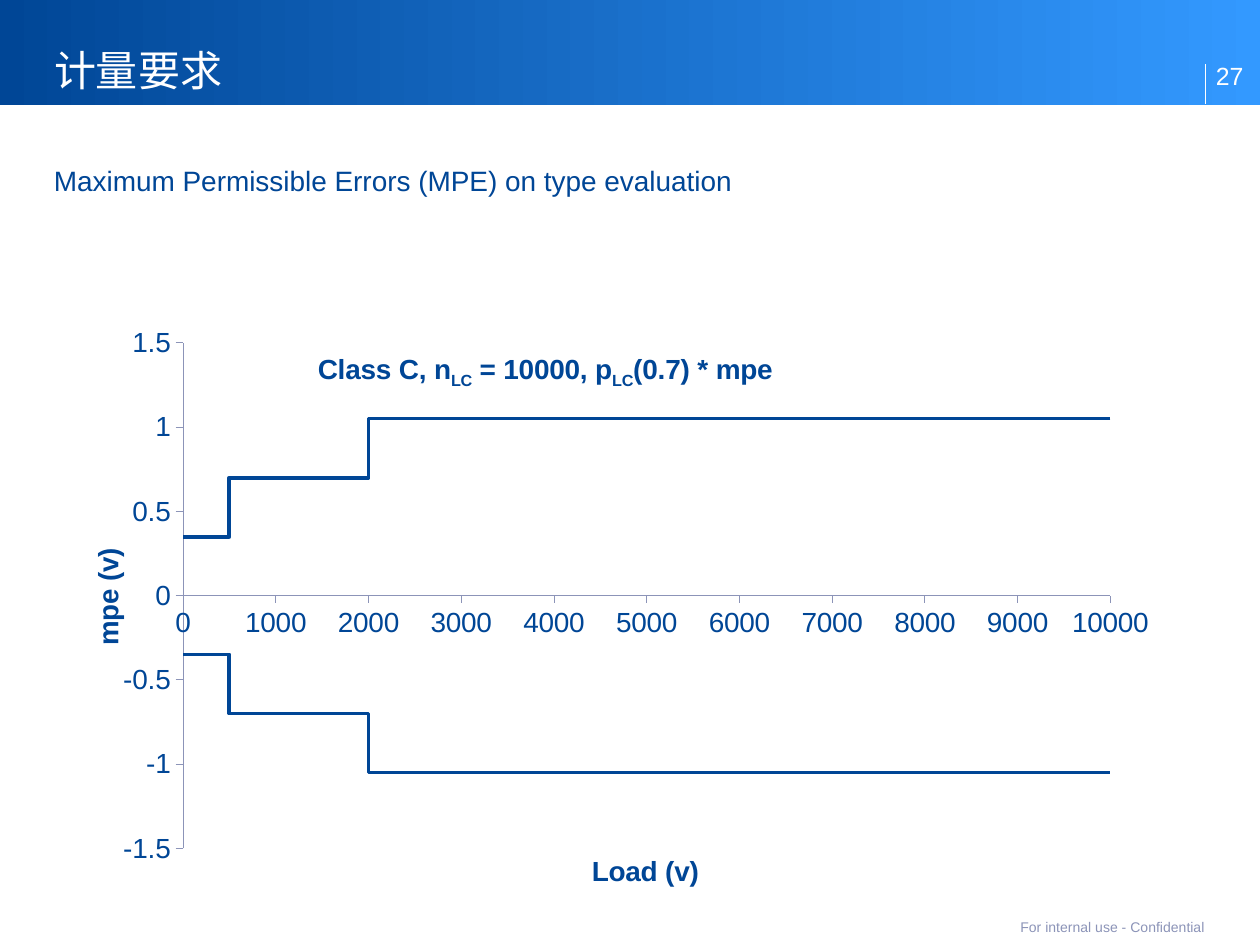
import pptx
import pptx.chart.data
import pptx.dml.color
import pptx.enum.chart
import pptx.enum.shapes
import pptx.enum.text
import pptx.oxml
import pptx.oxml.ns
import pptx.util

RGB = pptx.dml.color.RGBColor
NAVY = RGB(0x00, 0x46, 0x96)
SKY = RGB(0x33, 0x99, 0xFF)
WHITE = RGB(0xFF, 0xFF, 0xFF)
AXIS_GREY = RGB(0x8C, 0x94, 0xB8)
LATIN, CHINESE = "Arial", "Noto Sans CJK SC"
ALIGN = pptx.enum.text.PP_ALIGN
ANCHOR = pptx.enum.text.MSO_ANCHOR
qn = pptx.oxml.ns.qn

HEADING = "计量要求"
SUBHEADING = "Maximum Permissible Errors (MPE) on type evaluation"
PAGE = "27"
FOOTER = "For internal use - Confidential"
# (text, is subscript)
CHART_TITLE = [("Class C, n", False), ("LC", True), (" = 10000, p", False),
               ("LC", True), ("(0.7) * mpe", False)]
LOAD_TITLE = [("Load (v)", False)]
MPE_TITLE = [("mpe (v)", False)]
UPPER_LIMIT = [(10000, 1.05), (2000, 1.05), (2000, 0.7), (500, 0.7), (500, 0.35), (0, 0.35)]
LOWER_LIMIT = [(load, -mpe) for load, mpe in reversed(UPPER_LIMIT)]
GAP = [(0, None)]

EMU_PER_PX = 914400 // 126


def px(*lengths):
    return [length * EMU_PER_PX for length in lengths]


def fill_text(frame, text, size, color, font=LATIN, align=ALIGN.LEFT,
              anchor=ANCHOR.TOP, insets=(0, 0, 0, 0)):
    frame.word_wrap = True
    frame.auto_size = pptx.enum.text.MSO_AUTO_SIZE.NONE
    frame.vertical_anchor = anchor
    (frame.margin_left, frame.margin_top,
     frame.margin_right, frame.margin_bottom) = px(*insets)
    paragraph = frame.paragraphs[0]
    paragraph.alignment = align
    run = paragraph.add_run()
    run.text = text
    run.font.size = pptx.util.Pt(size)
    run.font.name = font
    run.font.color.rgb = color
    return run


def place(element, index, **fractions):
    """Give a chart part a manual layout, in fractions of the chart area."""
    for old in element.findall(qn("c:layout")):
        element.remove(old)
    target = '<c:layoutTarget val="inner"/>' if "w" in fractions else ""
    modes = '<c:xMode val="edge"/><c:yMode val="edge"/>'
    sizes = "".join(f'<c:{key} val="{value}"/>' for key, value in fractions.items())
    element.insert(index, pptx.oxml.parse_xml(
        f'<c:layout {pptx.oxml.ns.nsdecls("c")}><c:manualLayout>'
        f'{target}{modes}{sizes}</c:manualLayout></c:layout>'))


def write_title(title, pieces, x, y, rotation=0):
    frame = title.text_frame
    for text, subscript in pieces:
        run = frame.paragraphs[0].add_run()
        run.text = text
        run.font.size = pptx.util.Pt(16)
        run.font.bold = True
        run.font.name = LATIN
        run.font.color.rgb = NAVY
        if subscript:
            run.font._element.set("baseline", "-25000")
    body = frame._txBody.find(qn("a:bodyPr"))
    body.set("rot", str(rotation * 60000))
    body.set("vert", "horz")
    place(title._element, 1, x=x, y=y)


def format_axis(axis, low, high, step):
    axis.minimum_scale, axis.maximum_scale, axis.major_unit = low, high, step
    axis.has_major_gridlines = False
    axis.major_tick_mark = pptx.enum.chart.XL_TICK_MARK.OUTSIDE
    axis.minor_tick_mark = pptx.enum.chart.XL_TICK_MARK.NONE
    axis.tick_labels.number_format = "General"
    axis.tick_labels.number_format_is_linked = False
    axis.tick_labels.font.size = pptx.util.Pt(16)
    axis.format.line.color.rgb = AXIS_GREY
    axis.format.line.width = pptx.util.Pt(0.5)


def add_header(slide):
    band = slide.shapes.add_shape(pptx.enum.shapes.MSO_SHAPE.RECTANGLE, *px(0, 0, 1260, 105))
    band.shadow.inherit = False
    band.line.fill.background()
    band.fill.gradient()
    band.fill.gradient_angle = 0
    for stop, color, position in zip(band.fill.gradient_stops, (NAVY, SKY), (0, 1)):
        stop.color.rgb = color
        stop.position = position

    divider = slide.shapes.add_connector(
        pptx.enum.shapes.MSO_CONNECTOR.STRAIGHT, *px(1206, 104, 1206, 64))
    divider.line.color.rgb = WHITE
    divider.line.width = pptx.util.Pt(0.5)
    divider._element.spPr.append(
        pptx.oxml.parse_xml(f'<a:effectLst {pptx.oxml.ns.nsdecls("a")}/>'))

    heading = slide.shapes.title
    heading.left, heading.top, heading.width, heading.height = px(54, 26, 953, 79)
    run = fill_text(heading.text_frame, HEADING, 24, WHITE, CHINESE,
                    anchor=ANCHOR.BOTTOM, insets=(0, 0, 0, 10))
    run.font._element.append(pptx.oxml.parse_xml(
        f'<a:ea {pptx.oxml.ns.nsdecls("a")} typeface="{CHINESE}"/>'))
    heading.text_frame.paragraphs[0].line_spacing = pptx.util.Pt(26)
    # The band goes behind the heading.
    slide.shapes._spTree.append(heading._element)


def add_mpe_chart(slide):
    data = pptx.chart.data.XyChartData()
    limits = data.add_series("Series 1")
    for load, mpe in UPPER_LIMIT + GAP + LOWER_LIMIT:
        limits.add_data_point(load, mpe)
    chart = slide.shapes.add_chart(
        pptx.enum.chart.XL_CHART_TYPE.XY_SCATTER_LINES_NO_MARKERS,
        *px(74, 314, 1091, 581), data).chart
    chart.has_legend = False
    chart.font.name = LATIN
    chart.font.size = pptx.util.Pt(18)
    chart.font.color.rgb = NAVY

    plot = chart.plots[0]
    plot.vary_by_categories = False
    series = plot.series[0]
    series.smooth = False
    series.format.line.color.rgb = NAVY
    series.format.line.width = 0
    # An empty value must have no point at all, so that the line breaks there.
    for point in list(series._element.iter(qn("c:pt"))):
        if point.find(qn("c:v")).text in (None, "", "None"):
            point.getparent().remove(point)

    load_axis, mpe_axis = chart.category_axis, chart.value_axis
    format_axis(load_axis, 0, 10000, 1000)
    format_axis(mpe_axis, -1.5, 1.5, 0.5)
    chart.has_title = True
    write_title(chart.chart_title, CHART_TITLE, 0.22, 0.06)
    write_title(load_axis.axis_title, LOAD_TITLE, 0.47, 0.93)
    write_title(mpe_axis.axis_title, MPE_TITLE, 0.01, 0.4, rotation=-90)
    plot_area = chart._chartSpace.chart.plotArea
    place(plot_area, 0, x=0.1, y=0.05, w=0.85, h=0.88)


def main():
    deck = pptx.Presentation()
    deck.slide_width, deck.slide_height = px(1260, 945)
    slide = deck.slides.add_slide(deck.slide_layouts[5])
    add_header(slide)

    subheading = slide.shapes.add_textbox(*px(54, 164, 1152, 40))
    fill_text(subheading.text_frame, SUBHEADING, 16, NAVY)
    page = slide.shapes.add_textbox(*px(1206, 45, 54, 59))
    fill_text(page.text_frame, PAGE, 14.2, WHITE, anchor=ANCHOR.BOTTOM, insets=(10, 0, 0, 14))
    footer = slide.shapes.add_textbox(*px(54, 916, 1151, 21))
    fill_text(footer.text_frame, FOOTER, 8, AXIS_GREY, align=ALIGN.RIGHT, anchor=ANCHOR.MIDDLE)

    add_mpe_chart(slide)
    deck.save("out.pptx")


if __name__ == "__main__":
    main()
